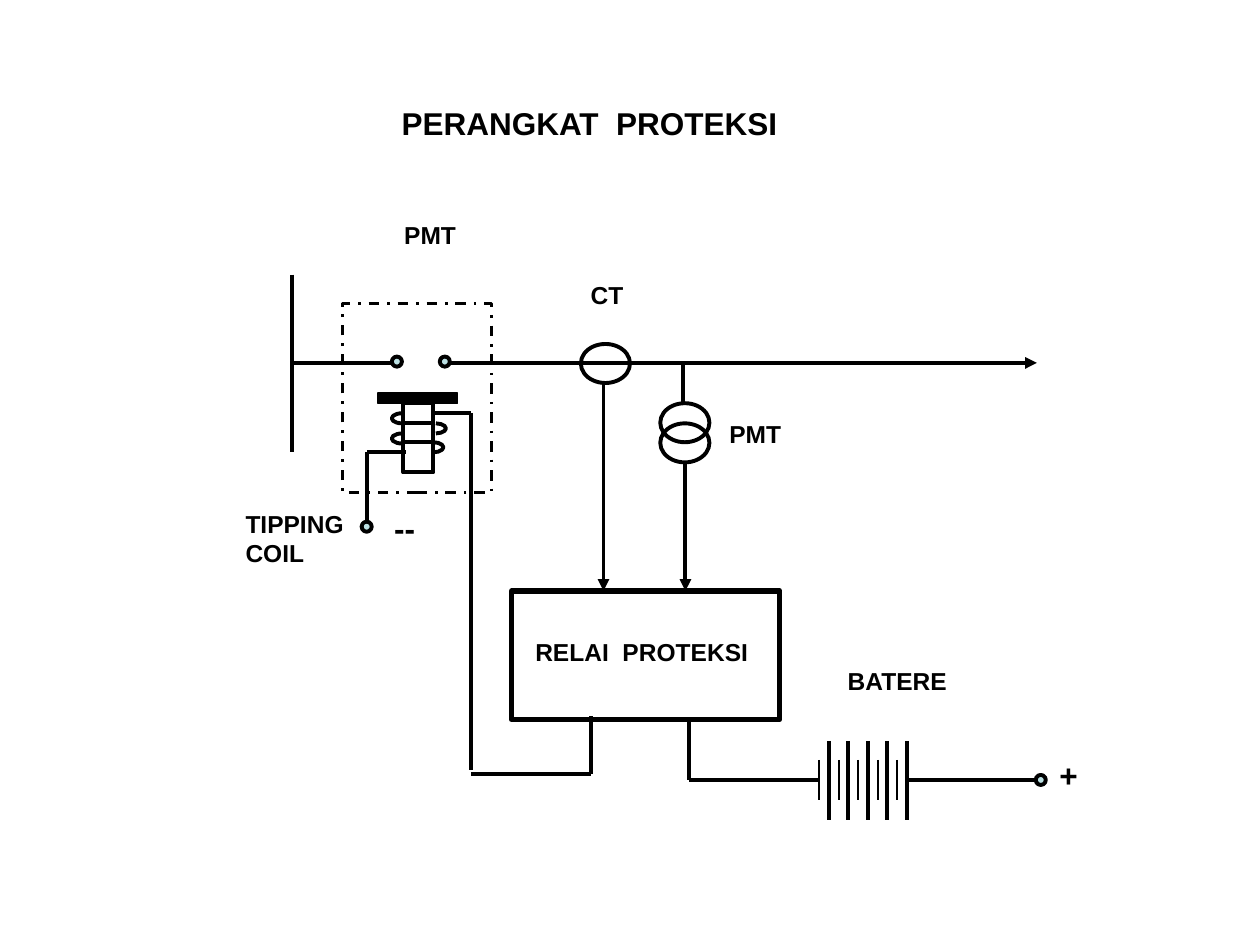
from dataclasses import dataclass
from itertools import pairwise

from lxml.etree import SubElement
from pptx import Presentation
from pptx.dml.color import RGBColor
from pptx.enum.dml import MSO_LINE
from pptx.enum.shapes import MSO_CONNECTOR, MSO_SHAPE
from pptx.enum.text import MSO_AUTO_SIZE
from pptx.oxml.ns import qn
from pptx.util import Pt

PX = 9144  # EMU per px, at 100 px to the inch


@dataclass(frozen=True)
class Theme:
    ink: RGBColor = RGBColor(0x00, 0x00, 0x00)
    terminal: RGBColor = RGBColor(0xBB, 0xE0, 0xE3)
    font: str = "Arial"
    large: int = 18
    label: int = 14
    hairline: float = 0.75
    thin: float = 1.5
    normal: float = 2.25
    heavy: float = 3


class Diagram:
    def __init__(self, page, theme):
        self.shapes = page.shapes
        self.theme = theme

    def text(self, left, top, width, height, lines, size=None):
        box = self.shapes.add_textbox(*(v * PX for v in (left, top, width, height)))
        frame = box.text_frame
        frame.word_wrap = False
        frame.auto_size = MSO_AUTO_SIZE.SHAPE_TO_FIT_TEXT
        frame.text = lines
        for para in frame.paragraphs:
            para.font.name = self.theme.font
            para.font.size = Pt(size or self.theme.label)
            para.font.bold = True
            para.font.color.rgb = self.theme.ink

    def shape(self, kind, left, top, width, height, fill=None, weight=None):
        shape = self.shapes.add_shape(kind, *(v * PX for v in (left, top, width, height)))
        shape.shadow.inherit = False
        if fill is None:
            shape.fill.background()
        else:
            shape.fill.solid()
            shape.fill.fore_color.rgb = fill
        shape.line.color.rgb = self.theme.ink
        shape.line.width = Pt(weight or self.theme.normal)
        return shape

    def terminal(self, left, top):
        self.shape(MSO_SHAPE.OVAL, left, top, 8, 8, self.theme.terminal)

    def winding(self, left, top, start, end):
        arc = self.shape(MSO_SHAPE.ARC, left, top, 16, 8)
        # Arc angles are stored in 60000ths of a degree, adjustments in 100000ths
        arc.adjustments[0] = start * 0.6
        arc.adjustments[1] = end * 0.6

    def wire(self, *points, weight=None, arrow=False):
        for start, end in pairwise(points):
            line = self.shapes.add_connector(
                MSO_CONNECTOR.STRAIGHT, *(v * PX for v in (*start, *end)))
            line.line.color.rgb = self.theme.ink
            line.line.width = Pt(weight or self.theme.normal)
            if arrow:
                SubElement(line.line._get_or_add_ln(), qn("a:tailEnd"), type="triangle")
            SubElement(line._element.spPr, qn("a:effectLst"))


def main():
    deck = Presentation()
    deck.slide_width, deck.slide_height = 1000 * PX, 750 * PX
    page = deck.slides.add_slide(deck.slide_layouts[6])
    theme = Theme()
    diagram = Diagram(page, theme)

    diagram.text(309, 78, 320, 40, "PERANGKAT  PROTEKSI", theme.large)

    # Busbar and feeder
    diagram.wire((232, 218), (232, 359))
    diagram.wire((232, 288), (311, 288))
    diagram.wire((350, 288), (823, 288), arrow=True)
    for left in (311, 349):
        diagram.terminal(left, 283)

    # Circuit breaker contact and trip coil
    diagram.shape(MSO_SHAPE.RECTANGLE, 300, 312, 63, 8, theme.ink, theme.hairline)
    diagram.shape(MSO_SHAPE.RECTANGLE, 320, 320, 24, 55)
    for right_left, right_top, left_top in ((338, 336, 328), (336, 351, 344)):
        diagram.winding(right_left, right_top, 270, 90)
        diagram.winding(311, left_top, 90, 270)
        diagram.wire((319, right_top), (343, right_top))

    # Trip circuit wiring
    diagram.wire((343, 328), (374, 328), (374, 611))
    diagram.wire((374, 614), (469, 614), (469, 568))
    diagram.wire((322, 359), (291, 359), (291, 415))
    diagram.terminal(287, 414)

    # Current and voltage transformers
    for left, top in ((461, 273), (524, 320), (524, 336)):
        diagram.shape(MSO_SHAPE.OVAL, left, top, 39, 31)
    diagram.wire((542, 288), (542, 320))
    diagram.wire((479, 304), (479, 469), arrow=True)
    diagram.wire((544, 367), (544, 469), arrow=True)

    # Protection relay
    diagram.shape(MSO_SHAPE.RECTANGLE, 406, 469, 213, 102, weight=theme.heavy)

    # Battery: alternating short and tall plates
    diagram.wire((547, 572), (547, 619), (650, 619))
    diagram.wire((720, 619), (823, 619))
    for plate in range(10):
        x = 650 + round(plate * 70 / 9)
        if plate % 2:
            diagram.wire((x, 588), (x, 651))
        else:
            diagram.wire((x, 603), (x, 635), weight=theme.thin)
    diagram.terminal(822, 615)

    # Circuit breaker outline
    outline = diagram.shape(MSO_SHAPE.RECTANGLE, 272, 241, 118, 150, weight=theme.thin)
    outline.line.dash_style = MSO_LINE.DASH_DOT

    # Labels
    diagram.text(831, 595, 34, 40, "+", theme.large)
    diagram.text(303, 399, 40, 40, "--", theme.large)
    diagram.text(415, 501, 189, 34, "RELAI  PROTEKSI")
    diagram.text(311, 170, 61, 34, "PMT")
    diagram.text(459, 217, 46, 34, "CT")
    diagram.text(569, 328, 61, 34, "PMT")
    diagram.text(185, 399, 98, 57, "TIPPING\nCOIL")
    diagram.text(663, 524, 100, 34, "BATERE")

    deck.save("out.pptx")


if __name__ == "__main__":
    main()
